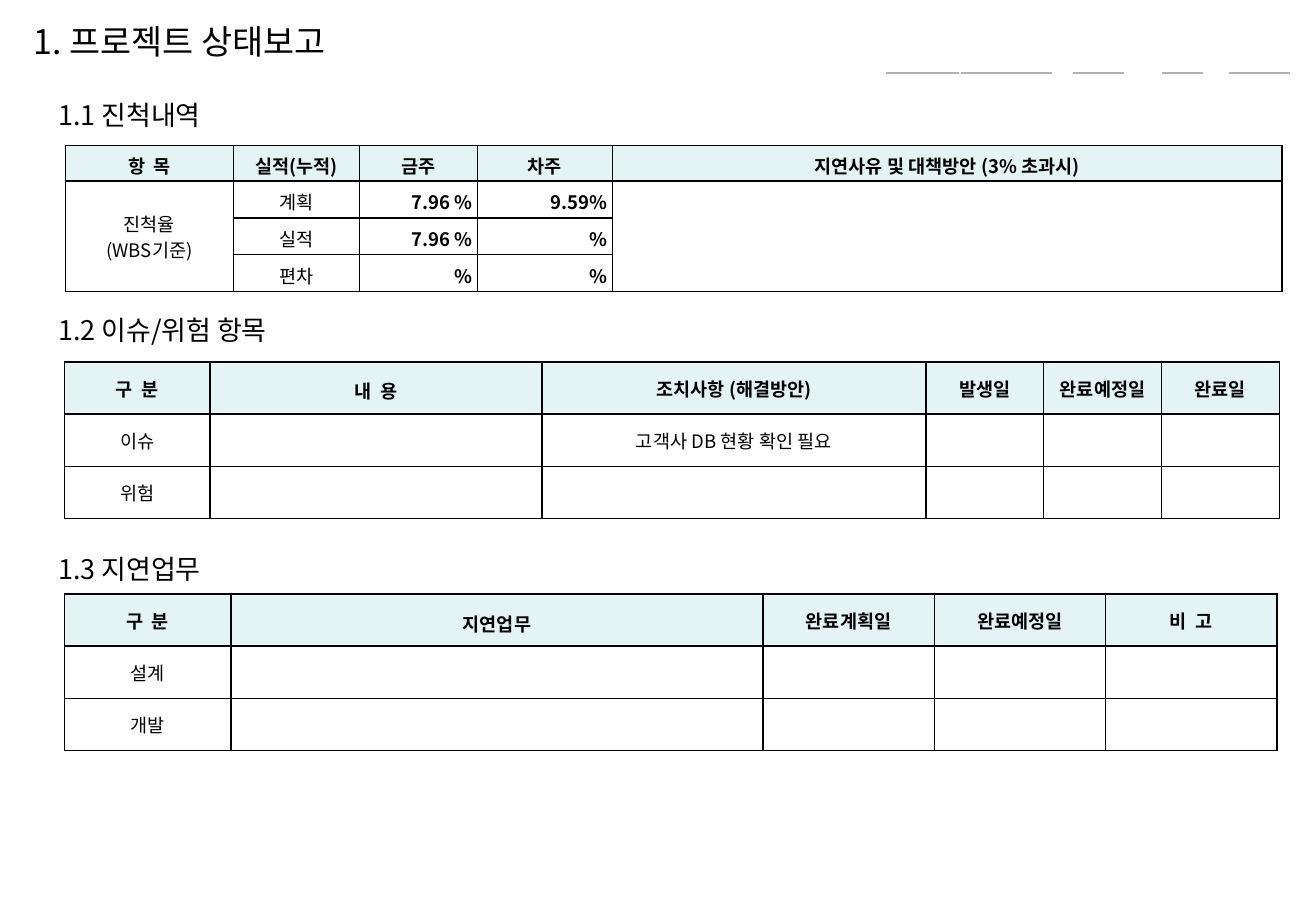
from lxml.etree import SubElement
from pptx import Presentation
from pptx.dml.color import RGBColor
from pptx.enum.shapes import MSO_CONNECTOR as Connector
from pptx.enum.text import MSO_ANCHOR as Anchor, MSO_AUTO_SIZE as AutoSize, PP_ALIGN as Align
from pptx.oxml.ns import qn
from pptx.util import Inches, Pt

THEME = {
    "font": "Noto Sans CJK KR",
    "text": RGBColor(0, 0, 0),
    "header": RGBColor(0xE4, 0xF4, 0xF4),
    "rule": RGBColor(0xB2, 0xB2, 0xB2),
    "border": "000000",
    "title": 20, "heading": 16, "cell": 11,
    "rule_width": 1.5, "border_width": 1,
}
WIDTH, HEIGHT = 10.83, 7.5
HEADER_INSETS = (0.1, 0.05)

TITLE = ("1. 프로젝트 상태보고", 0.18, 0.12)
HEADING_LEFT, HEADING_WIDTH = 0.38, 4.49
RULE_TOP = 0.6
RULES = [(7.29, 7.89), (7.91, 8.66), (8.83, 9.25), (9.56, 9.9), (10.11, 10.62)]

SECTIONS = [
    {
        "heading": "1.1 진척내역", "heading_top": 0.76,
        "left": 0.54, "top": 1.2, "insets": (0.04, 0.06),
        "columns": [1.38, 1.04, 0.97, 1.11, 5.51], "rows": [0.29, 0.3, 0.3, 0.3],
        "cells": [
            ["항  목", "실적(누적)", "금주", "차주", "지연사유 및 대책방안 (3% 초과시)"],
            ["진척율\n(WBS기준)", "계획", "7.96 %", "9.59%", ""],
            ["", "실적", "7.96 %", "%", ""],
            ["", "편차", "%", "%", ""],
        ],
        "merged_columns": [0, 4], "value_columns": [2, 3],
        "low_headers": [1, 2, 3], "loose_headers": [],
    },
    {
        "heading": "1.2 이슈/위험 항목", "heading_top": 2.53,
        "left": 0.53, "top": 2.98, "insets": (0.04, 0.04),
        "columns": [1.2, 2.73, 3.16, 0.97, 0.97, 0.97], "rows": [0.43] * 3,
        "cells": [
            ["구  분", "내  용", "조치사항 (해결방안)", "발생일", "완료예정일", "완료일"],
            ["이슈", "", "고객사 DB 현황 확인 필요", "", "", ""],
            ["위험", "", "", "", "", ""],
        ],
        "merged_columns": [], "value_columns": [],
        "low_headers": [], "loose_headers": [1],
    },
    {
        "heading": "1.3 지연업무", "heading_top": 4.5,
        "left": 0.53, "top": 4.89, "insets": (0.04, 0.04),
        "columns": [1.37, 4.38, 1.41, 1.41, 1.41], "rows": [0.43] * 3,
        "cells": [
            ["구  분", "지연업무", "완료계획일", "완료예정일", "비  고"],
            ["설계", "", "", "", ""],
            ["개발", "", "", "", ""],
        ],
        "merged_columns": [], "value_columns": [],
        "low_headers": [], "loose_headers": [1],
    },
]


def add_run(paragraph, text, size, bold=False):
    """Add one run in the theme font, for Latin and Korean letters alike."""
    run = paragraph.add_run()
    run.text = text
    run.font.size, run.font.bold = Pt(size), bold
    run.font.color.rgb = THEME["text"]
    run.font.name = THEME["font"]
    east_asian = SubElement(run.font._element, qn("a:ea"))
    east_asian.set("typeface", THEME["font"])


def add_label(slide, text, left, top, width, height, size, wrap):
    """Add a text box that grows with its text."""
    box = slide.shapes.add_textbox(Inches(left), Inches(top), Inches(width), Inches(height))
    frame = box.text_frame
    frame.word_wrap = wrap
    frame.auto_size = AutoSize.SHAPE_TO_FIT_TEXT
    add_run(frame.paragraphs[0], text, size)


def add_rule(slide, start, end):
    """Add one grey piece of the line below the title."""
    top = Inches(RULE_TOP)
    rule = slide.shapes.add_connector(Connector.STRAIGHT, Inches(start), top, Inches(end), top)
    rule.line.color.rgb = THEME["rule"]
    rule.line.width = Pt(THEME["rule_width"])
    SubElement(rule._element.spPr, qn("a:effectLst"))


def set_borders(cell):
    """Draw all four sides of a cell, ahead of its fill in the XML."""
    properties = cell._tc.get_or_add_tcPr()
    for position, side in enumerate(("lnL", "lnR", "lnT", "lnB")):
        line = SubElement(properties, qn(f"a:{side}"), w=str(Pt(THEME["border_width"])))
        fill = SubElement(line, qn("a:solidFill"))
        SubElement(fill, qn("a:srgbClr"), val=THEME["border"])
        properties.insert(position, line)


def fill_cell(cell, text, section, row, column):
    """Style a cell by its place in the table and write its text."""
    is_header = row == 0
    is_value = not is_header and column in section["value_columns"]
    across, down = HEADER_INSETS if is_header else section["insets"]
    cell.margin_left = cell.margin_right = Inches(across)
    cell.margin_top = cell.margin_bottom = Inches(down)
    is_low = is_header and column in section["low_headers"]
    cell.vertical_anchor = Anchor.BOTTOM if is_low else Anchor.MIDDLE
    if is_header:
        cell.fill.solid()
        cell.fill.fore_color.rgb = THEME["header"]
    else:
        cell.fill.background()
    set_borders(cell)
    frame = cell.text_frame
    for index, line in enumerate(text.split("\n")):
        paragraph = frame.add_paragraph() if index else frame.paragraphs[0]
        paragraph.alignment = Align.RIGHT if is_value else Align.CENTER
        if is_header and column in section["loose_headers"]:
            paragraph.line_spacing = 1.2
        if line:
            add_run(paragraph, line, THEME["cell"], is_header or is_value)
        else:
            SubElement(paragraph._p, qn("a:endParaRPr"), sz=str(THEME["cell"] * 100))


def add_section(slide, section):
    """Add a heading and the table below it."""
    add_label(slide, section["heading"], HEADING_LEFT, section["heading_top"],
              HEADING_WIDTH, 0.37, THEME["heading"], True)
    columns, rows = section["columns"], section["rows"]
    frame = slide.shapes.add_table(
        len(rows), len(columns), Inches(section["left"]), Inches(section["top"]),
        Inches(sum(columns)), Inches(sum(rows)))
    table = frame.table
    table.first_row = table.horz_banding = False
    for column, width in zip(table.columns, columns):
        column.width = Inches(width)
    for row, height in zip(table.rows, rows):
        row.height = Inches(height)
    for row, texts in enumerate(section["cells"]):
        for column, text in enumerate(texts):
            fill_cell(table.cell(row, column), text, section, row, column)
    for column in section["merged_columns"]:
        table.cell(1, column).merge(table.cell(len(rows) - 1, column))


presentation = Presentation()
presentation.slide_width, presentation.slide_height = Inches(WIDTH), Inches(HEIGHT)
slide = presentation.slides.add_slide(presentation.slide_layouts[6])
for start, end in RULES:
    add_rule(slide, start, end)
title, title_left, title_top = TITLE
add_label(slide, title, title_left, title_top, 2.69, 0.44, THEME["title"], False)
for section in SECTIONS:
    add_section(slide, section)
presentation.save("out.pptx")
